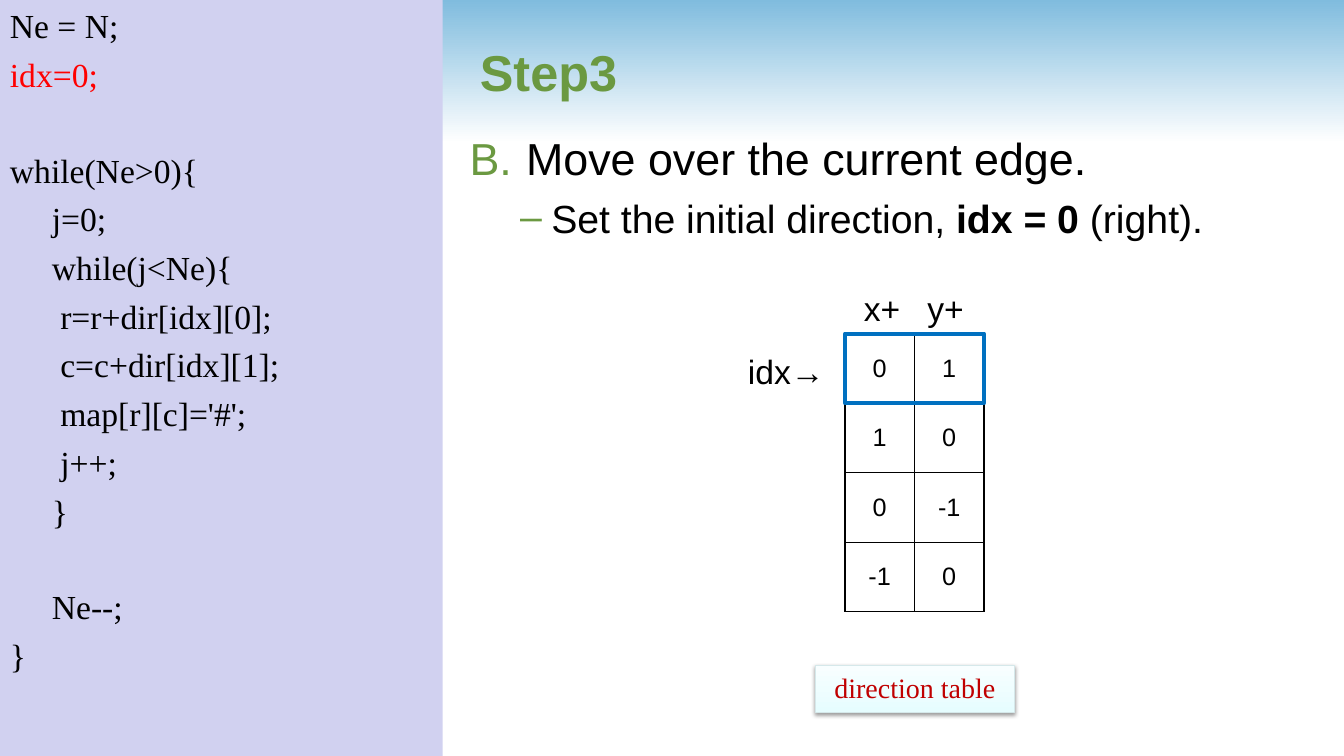
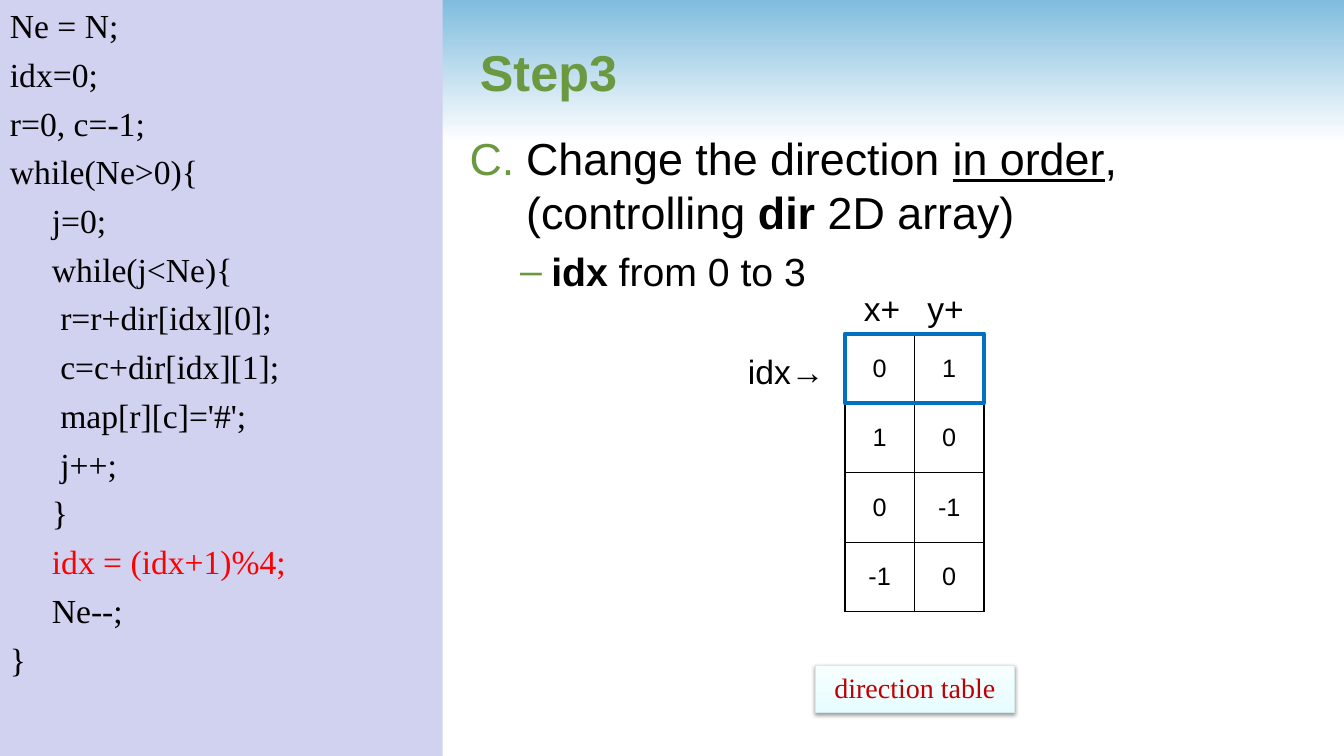
"""Build two slides on walking a grid with a direction table."""
from lxml import etree
from pptx import Presentation
from pptx.dml.color import RGBColor
from pptx.enum.shapes import MSO_SHAPE
from pptx.enum.text import MSO_ANCHOR, PP_ALIGN
from pptx.oxml import parse_xml
from pptx.oxml.ns import nsdecls, qn
from pptx.util import Inches, Pt

RECTANGLE = MSO_SHAPE.RECTANGLE
MIDDLE, TOP = MSO_ANCHOR.MIDDLE, MSO_ANCHOR.TOP
LEFT, CENTER = PP_ALIGN.LEFT, PP_ALIGN.CENTER

BLACK, WHITE, RED, GREEN = "000000", "FFFFFF", "FF0000", "6B9941"
SANS, SERIF = "Arial", "Times New Roman"
CODE_GAP, CODE_PITCH = 6, 33.6
CELL = 0.69
TABLE_LEFT, TABLE_TOP = 8.38, 3.31
DIRECTIONS = [(0, 1), (1, 0), (0, -1), (-1, 0)]

INNER_LOOP = [
    "while(Ne>0){",
    "     j=0;",
    "     while(j<Ne){",
    "\tr=r+dir[idx][0];",
    "\tc=c+dir[idx][1];",
    "\tmap[r][c]='#';",
    "\tj++;",
    "     }",
]
STEPS = [
    {
        "number": 2,
        "step": [("Move over the current edge.", "")],
        "detail": [("Set the initial direction, ", ""), ("idx = 0 ", "b"), ("(right).", "")],
        "code": ["Ne = N;", "idx=0;", "", *INNER_LOOP, "", "     Ne--;", "}"],
        "new_line": "idx=0;",
    },
    {
        "number": 3,
        "step": [("Change the direction ", ""), ("in order", "u"), (",", ""), ("\n", ""),
                 ("(controlling ", ""), ("dir", "b"), (" 2D array)", "")],
        "detail": [("idx", "b"), (" from 0 to 3", "")],
        "code": ["Ne = N;", "idx=0;", "r=0, c=-1;", *INNER_LOOP,
                 "     idx = (idx+1)%4;", "     Ne--;", "}"],
        "new_line": "     idx = (idx+1)%4;",
    },
]


def rgb(value):
    return RGBColor.from_string(value)


def set_font(paragraph, face, size, color):
    paragraph.font.name = face
    paragraph.font.size = Pt(size)
    paragraph.font.color.rgb = rgb(color)


prs = Presentation()
prs.slide_width, prs.slide_height = Inches(13.33), Inches(7.5)
layout = prs.slide_layouts[5]
slides = [prs.slides.add_slide(layout) for _ in STEPS]

band = slides[0].shapes.add_shape(RECTANGLE, 0, 0, prs.slide_width, Inches(1.42))
band.shadow.inherit = False
band.line.fill.background()
band.fill.gradient()
band.fill.gradient_angle = 270
for stop, color in zip(band.fill.gradient_stops, ("80BCDE", WHITE)):
    stop.color.rgb = rgb(color)
layout.shapes.element.insert(2, band.element)

for slide, content in zip(slides, STEPS):
    shapes = slide.shapes

    title = shapes.title
    title.left, title.top = Inches(4.66), Inches(0.08)
    title.width, title.height = Inches(8.12), Inches(1.25)
    title.text_frame.text = "Step3"
    title.text_frame.vertical_anchor = MIDDLE
    heading = title.text_frame.paragraphs[0]
    heading.alignment = LEFT
    set_font(heading, SANS, 36, GREEN)
    heading.font.bold = True

    explanation = shapes.add_textbox(Inches(4.56), Inches(1.25), Inches(8.54), Inches(5.91)).text_frame
    explanation.word_wrap = True
    step = explanation.paragraphs[0]
    detail = explanation.add_paragraph()
    detail.space_before = Pt(6.5)
    numbering = {"type": "alphaUcPeriod", "startAt": str(content["number"])}
    for paragraph, runs, size, margin, hanging, bullet, attributes in (
        (step, content["step"], 32, 0.56, 0.56, "a:buAutoNum", numbering),
        (detail, content["detail"], 28, 0.81, 0.31, "a:buChar", {"char": "–"}),
    ):
        properties = paragraph._p.get_or_add_pPr()
        properties.set("marL", str(Inches(margin)))
        properties.set("indent", str(-Inches(hanging)))
        bullet_color = etree.SubElement(properties, qn("a:buClr"))
        etree.SubElement(bullet_color, qn("a:srgbClr"), val=GREEN)
        etree.SubElement(properties, qn("a:buFont"), typeface=SANS)
        etree.SubElement(properties, qn(bullet), attributes)
        set_font(paragraph, SANS, size, BLACK)
        for text, emphasis in runs:
            if text == "\n":
                paragraph.add_line_break()
                continue
            run = paragraph.add_run()
            run.text = text
            if emphasis == "b":
                run.font.bold = True
            elif emphasis == "u":
                run.font.underline = True

    code_panel = shapes.add_shape(RECTANGLE, 0, 0, Inches(4.39), prs.slide_height)
    code_panel.shadow.inherit = False
    code_panel.fill.solid()
    code_panel.fill.fore_color.rgb = rgb("D1D1F0")
    code_panel.line.fill.background()
    code = code_panel.text_frame
    code.vertical_anchor = TOP
    gap = 0
    for index, line in enumerate(content["code"]):
        if not line:
            gap += CODE_PITCH
            continue
        paragraph = code.add_paragraph() if index else code.paragraphs[0]
        paragraph.text = line
        paragraph.alignment = LEFT
        if index:
            paragraph.space_before = Pt(CODE_GAP + gap)
        set_font(paragraph, SERIF, 24, RED if line == content["new_line"] else BLACK)
        gap = 0

    directions = shapes.add_table(
        len(DIRECTIONS), 2, Inches(TABLE_LEFT), Inches(TABLE_TOP),
        Inches(2 * CELL), Inches(len(DIRECTIONS) * CELL)).table
    directions.first_row = directions.horz_banding = False
    for row, offsets in enumerate(DIRECTIONS):
        for column, offset in enumerate(offsets):
            cell = directions.cell(row, column)
            cell.text = str(offset)
            cell.vertical_anchor = MIDDLE
            cell.text_frame.paragraphs[0].alignment = CENTER
            set_font(cell.text_frame.paragraphs[0], SANS, 18, BLACK)
            borders = cell._tc.get_or_add_tcPr()
            for side in ("lnL", "lnR", "lnT", "lnB"):
                borders.append(parse_xml(
                    f'<a:{side} {nsdecls("a")} w="{Pt(1)}"><a:solidFill>'
                    f'<a:srgbClr val="{BLACK}"/></a:solidFill></a:{side}>'))
            cell.fill.background()

    for label, left, top, width in (("x+\ty+", 8.47, 2.81, 1.21), ("idx→", 7.32, 3.43, 0.96)):
        caption = shapes.add_textbox(Inches(left), Inches(top), Inches(width), Inches(0.5)).text_frame
        caption.word_wrap = False
        paragraph = caption.paragraphs[0]
        paragraph.text = label
        if "\t" in label:
            tabs = etree.SubElement(paragraph._p.get_or_add_pPr(), qn("a:tabLst"))
            etree.SubElement(tabs, qn("a:tab"), pos=str(Inches(0.63)), algn="l")
        set_font(paragraph, SANS, 24, BLACK)

    current_row = shapes.add_shape(
        RECTANGLE, Inches(TABLE_LEFT), Inches(TABLE_TOP), Inches(2 * CELL), Inches(CELL))
    current_row.shadow.inherit = False
    current_row.fill.background()
    current_row.line.color.rgb = rgb("0070C0")
    current_row.line.width = Pt(3)

    table_name = shapes.add_shape(RECTANGLE, Inches(8.09), Inches(6.6), Inches(1.97), Inches(0.47))
    table_name.fill.gradient()
    table_name.fill.gradient_angle = 90
    for stop, color in zip(table_name.fill.gradient_stops, ("E6FDFF", "F8FEFF")):
        stop.color.rgb = rgb(color)
    table_name.line.color.rgb = rgb("D5E8EA")
    table_name.line.width = Pt(0.75)
    table_name.shadow.inherit = False
    effects = table_name.element.spPr.find(qn("a:effectLst"))
    effects.append(parse_xml(
        f'<a:outerShdw {nsdecls("a")} blurRad="{Pt(3.1)}" dist="{Pt(1.6)}" dir="5400000" '
        f'rotWithShape="0"><a:srgbClr val="{BLACK}"><a:alpha val="38000"/></a:srgbClr></a:outerShdw>'))
    table_name.text_frame.text = "direction table"
    table_name.text_frame.vertical_anchor = TOP
    table_name.text_frame.paragraphs[0].alignment = CENTER
    set_font(table_name.text_frame.paragraphs[0], SERIF, 20, "C00000")

prs.save("out.pptx")
